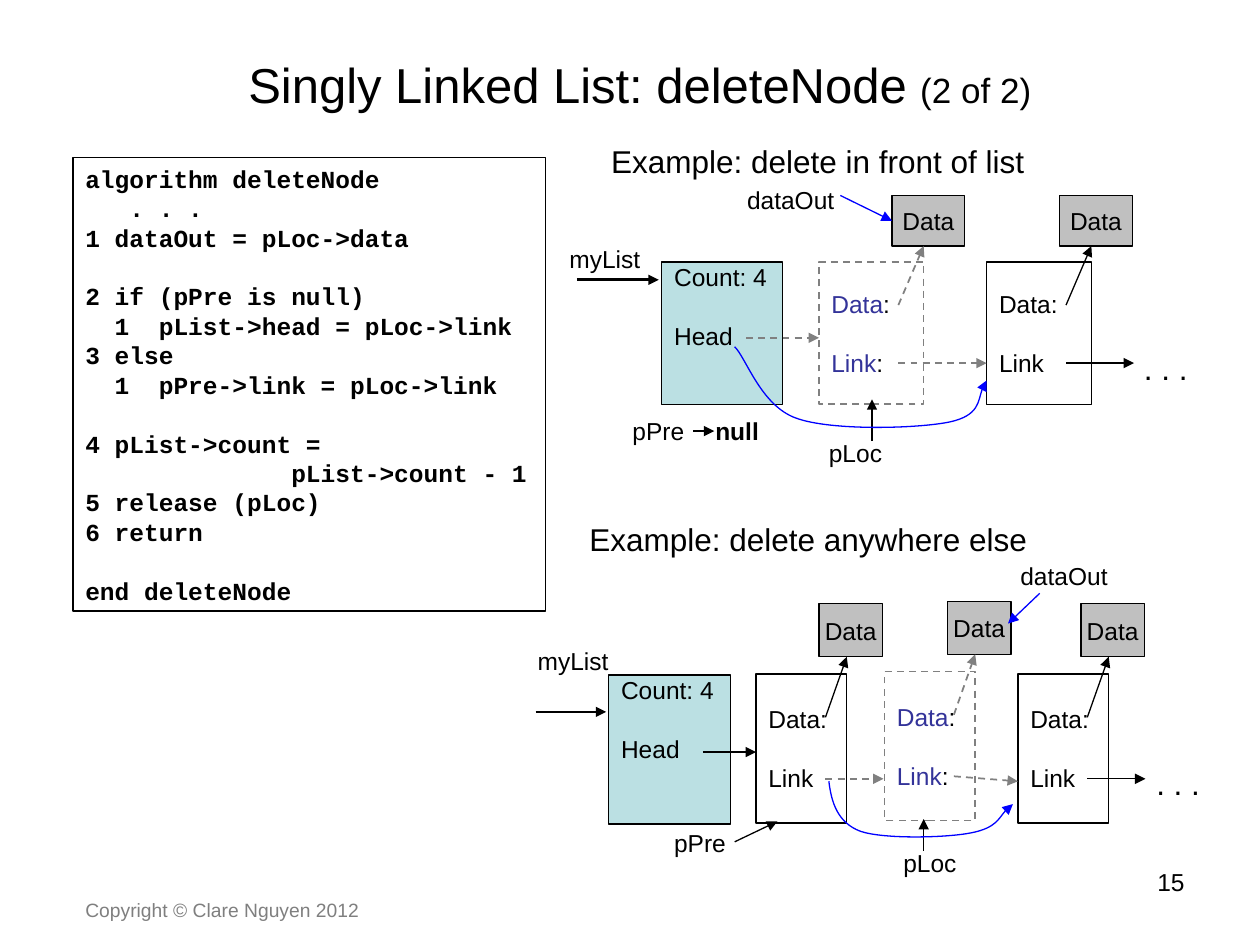
"""Build the slide on deleting a node from a singly linked list."""
from lxml import etree
from pptx import Presentation
from pptx.dml.color import RGBColor
from pptx.enum.dml import MSO_LINE
from pptx.enum.shapes import MSO_CONNECTOR, MSO_SHAPE
from pptx.enum.text import MSO_ANCHOR, PP_ALIGN
from pptx.oxml.ns import qn
from pptx.util import Cm, Pt

STRAIGHT, RECTANGLE, DASH = MSO_CONNECTOR.STRAIGHT, MSO_SHAPE.RECTANGLE, MSO_LINE.DASH
TOP, MIDDLE = MSO_ANCHOR.TOP, MSO_ANCHOR.MIDDLE
LEFT, CENTER, RIGHT = PP_ALIGN.LEFT, PP_ALIGN.CENTER, PP_ALIGN.RIGHT
BLACK, GRAY, BLUE, INDIGO = "000000", "808080", "0000FF", "333399"
TEAL, SILVER, COPYRIGHT_GRAY = "BBE0E3", "C0C0C0", "7F7F7F"
LINE_PITCH = 16.8


def write(shape, lines, size=14, font="Arial", bold=False, align=LEFT, pitch=None, **frame_format):
    """Write lines of (text, colour, size) parts; an empty line becomes space before the next."""
    frame = shape.text_frame
    frame_values = {"word_wrap": False, "vertical_anchor": TOP,
                    "margin_left": Cm(0.25), "margin_right": Cm(0.25),
                    "margin_top": Cm(0.13), "margin_bottom": Cm(0.13)}
    for name, value in {**frame_values, **frame_format}.items():
        setattr(frame, name, value)
    paragraph, gap = None, 0
    for parts in lines:
        if not parts:
            gap += LINE_PITCH
            continue
        paragraph = frame.add_paragraph() if paragraph else frame.paragraphs[0]
        spacing = {"alignment": align, "space_before": Pt(gap), "line_spacing": pitch}
        for name, value in spacing.items():
            setattr(paragraph, name, value)
        gap = 0
        for text, color, *own_size in parts:
            run = paragraph.add_run()
            run.text = text
            run_font = {"name": font, "size": Pt(own_size[0] if own_size else size), "bold": bold}
            for name, value in run_font.items():
                setattr(run.font, name, value)
            run.font.color.rgb = RGBColor.from_string(color)


def outline(shape, color=BLACK, width=0.75, dash=None, arrow=False):
    """Style a line or border, with an arrowhead at its end if asked."""
    shape.line.color.rgb = RGBColor.from_string(color)
    shape.line.width = Pt(width)
    shape.line.dash_style = dash
    if arrow:
        etree.SubElement(shape.line._get_or_add_ln(), qn("a:tailEnd"), type="triangle")
        if shape._element.spPr.find(qn("a:effectLst")) is None:
            etree.SubElement(shape._element.spPr, qn("a:effectLst"))


deck = Presentation()
deck.slide_width, deck.slide_height = Cm(25.4), Cm(19.05)
slide = deck.slides.add_slide(deck.slide_layouts[6])
shapes = slide.shapes

algorithm = """algorithm deleteNode
   . . .
1 dataOut = pLoc->data

2 if (pPre is null)
  1  pList->head = pLoc->link
3 else
  1  pPre->link = pLoc->link

4 pList->count =
              pList->count - 1
5 release (pLoc)
6 return

end deleteNode"""
code_lines = [[(line, BLACK)] if line else [] for line in algorithm.split("\n")]
header_lines = [[("Count: 4", BLACK)], [], [("Head", BLACK)]]
kept_lines = [[("Data:", BLACK)], [], [("Link", BLACK)]]
removed_lines = [[("Data", INDIGO), (":", BLACK)], [], [("Link", INDIGO), (":", BLACK)]]
pitch = Pt(LINE_PITCH)
code_format = {"font": "Courier New", "bold": True, "pitch": pitch,
               "vertical_anchor": MIDDLE, "word_wrap": True}
header_format = {"pitch": pitch, "margin_top": 0}
node_format = {"pitch": pitch, "vertical_anchor": MIDDLE}
data_format = {"align": CENTER, "vertical_anchor": MIDDLE}

# left, top, width, height, fill, dashed, lines, format
boxes = [
    (1.47, 3.18, 9.53, 9.14, None, False, code_lines, code_format),
    (13.34, 5.28, 2.44, 2.87, TEAL, False, header_lines, header_format),
    (12.27, 13.61, 2.46, 3, TEAL, False, header_lines, header_format),
]
arrows = [
    (11.63, 5.64, 13.28, 5.64, BLACK, 1.5),
    (15.04, 6.81, 16.51, 6.81, GRAY, 1),
    (16.94, 3.94, 17.98, 4.45, BLUE, 0.75),
    (13.97, 8.69, 14.4, 8.69, BLACK, 0.75),
    (17.58, 8.89, 17.58, 8.05, BLACK, 0.75),
    (10.8, 14.35, 12.22, 14.35, BLACK, 1.5),
    (14.17, 15.16, 15.24, 15.16, BLACK, 0.75),
    (20.96, 11.96, 20.32, 12.57, BLUE, 0.75),
    (14.81, 16.97, 15.67, 16.56, BLACK, 0.75),
    (18.62, 17.15, 18.62, 16.51, BLACK, 0.75),
]

# node size, data offset and size, link start, then (left, top, removed, broken link, link end)
node_rows = [
    (2.11, 2.87, 1.47, -1.34, 1.47, 1.02, 1.6, 2.04,
     [(16.51, 5.28, True, True, 19.89, 7.32), (19.89, 5.28, False, False, 22.86, 7.32)]),
    (1.83, 3, 1.27, -1.42, 1.28, 1.07, 1.4, 2.11,
     [(15.24, 13.59, False, True, 17.81, 15.7), (17.83, 13.54, True, True, 20.52, 15.75),
      (20.52, 13.59, False, False, 23.09, 15.7)]),
]
for width, height, data_dx, data_dy, data_width, data_height, link_dx, link_dy, nodes in node_rows:
    for left, top, removed, broken, link_end_x, link_end_y in nodes:
        data_top = top + data_dy
        boxes += [
            (left, top, width, height, None, removed,
             removed_lines if removed else kept_lines, node_format),
            (left + data_dx, data_top, data_width, data_height, SILVER, False,
             [[("Data", BLACK)]], data_format),
        ]
        arrows += [
            (left + link_dx, top + 0.87, left + width, data_top + data_height,
             *((GRAY, 1) if removed else (BLACK, 0.75))),
            (left + link_dx, top + link_dy, link_end_x, link_end_y,
             *((GRAY, 1) if broken else (BLACK, 0.75))),
        ]

for *place, fill, dashed, lines, text_format in boxes:
    box = shapes.add_shape(RECTANGLE, *map(Cm, place))
    box.shadow.inherit = False
    if fill:
        box.fill.solid()
        box.fill.fore_color.rgb = RGBColor.from_string(fill)
    else:
        box.fill.background()
    outline(box, *((GRAY, 1, DASH) if dashed else ()))
    write(box, lines, **text_format)

for *ends, color, width in arrows:
    pointer = shapes.add_connector(STRAIGHT, *map(Cm, ends))
    outline(pointer, color, width, DASH if color == GRAY else None, arrow=True)

new_links = [
    [(14.81, 6.99), (15.04, 7.21), (15.34, 8.18), (16.05, 8.43), (16.76, 8.69),
     (18.49, 8.64), (19.13, 8.51), (19.76, 8.38), (19.74, 7.85), (19.89, 7.67)],
    [(16.71, 15.75), (16.76, 16.18), (16.89, 16.59), (17.35, 16.76), (17.83, 16.92),
     (19.08, 16.89), (19.58, 16.79), (20.09, 16.69), (20.24, 16.31), (20.42, 16.21)],
]
for points in new_links:
    start, *controls = [(Cm(x), Cm(y)) for x, y in points]
    builder = shapes.build_freeform(*start)
    builder.add_line_segments(controls, close=False)
    new_link = builder.convert_to_shape()
    new_link.shadow.inherit = False
    new_link.fill.background()
    outline(new_link, BLUE, arrow=True)
    route = next(new_link._element.iter(qn("a:path")))
    segments = route.findall(qn("a:lnTo"))
    for first in range(0, len(segments), 3):
        curve = etree.SubElement(route, qn("a:cubicBezTo"))
        for segment in segments[first:first + 3]:
            curve.append(segment[0])
            route.remove(segment)

labels = [
    (11.23, 4.78, 2.34, 0.86, "myList", {}),
    (14.81, 3.61, 2.26, 0.86, "dataOut", {}),
    (12.07, 2.74, 8.84, 1.02, "Example: delete in front of list", {"size": 18}),
    (22.81, 6.91, 1.37, 1.02, ". . .", {"size": 18}),
    (12.5, 8.26, 1.55, 0.86, "pPre", {}),
    (14.17, 8.26, 1.37, 0.86, "null", {"bold": True}),
    (16.46, 8.71, 1.57, 0.86, "pLoc", {}),
    (10.59, 12.9, 2.01, 0.86, "myList", {}),
    (11.63, 10.36, 9.32, 1.02, "Example: delete anywhere else", {"size": 18}),
    (23.06, 15.27, 1.37, 1.02, ". . .", {"size": 18}),
    (20.32, 11.18, 2.26, 0.86, "dataOut", {}),
    (13.34, 16.56, 1.55, 0.86, "pPre", {}),
    (17.96, 16.97, 1.57, 0.86, "pLoc", {}),
    (18.21, 17.35, 5.92, 1.32, "15", {"align": RIGHT, "margin_right": Cm(0.25)}),
]
for *place, text, text_format in labels:
    label_format = {"word_wrap": True, "margin_right": 0, **text_format}
    write(shapes.add_textbox(*map(Cm, place)), [[(text, BLACK)]], **label_format)

title = shapes.add_textbox(Cm(1.47), Cm(0.84), Cm(22.86), Cm(1.7))
write(title, [[("Singly Linked List: deleteNode ", BLACK), ("(2 of 2)", BLACK, 20)]],
      size=28, align=CENTER, vertical_anchor=MIDDLE, word_wrap=True)
copyright_line = shapes.add_textbox(Cm(1.47), Cm(17.98), Cm(8.05), Cm(0.48))
write(copyright_line, [[("Copyright © Clare Nguyen 2012", COPYRIGHT_GRAY)]], size=11, word_wrap=True)

deck.save("out.pptx")
